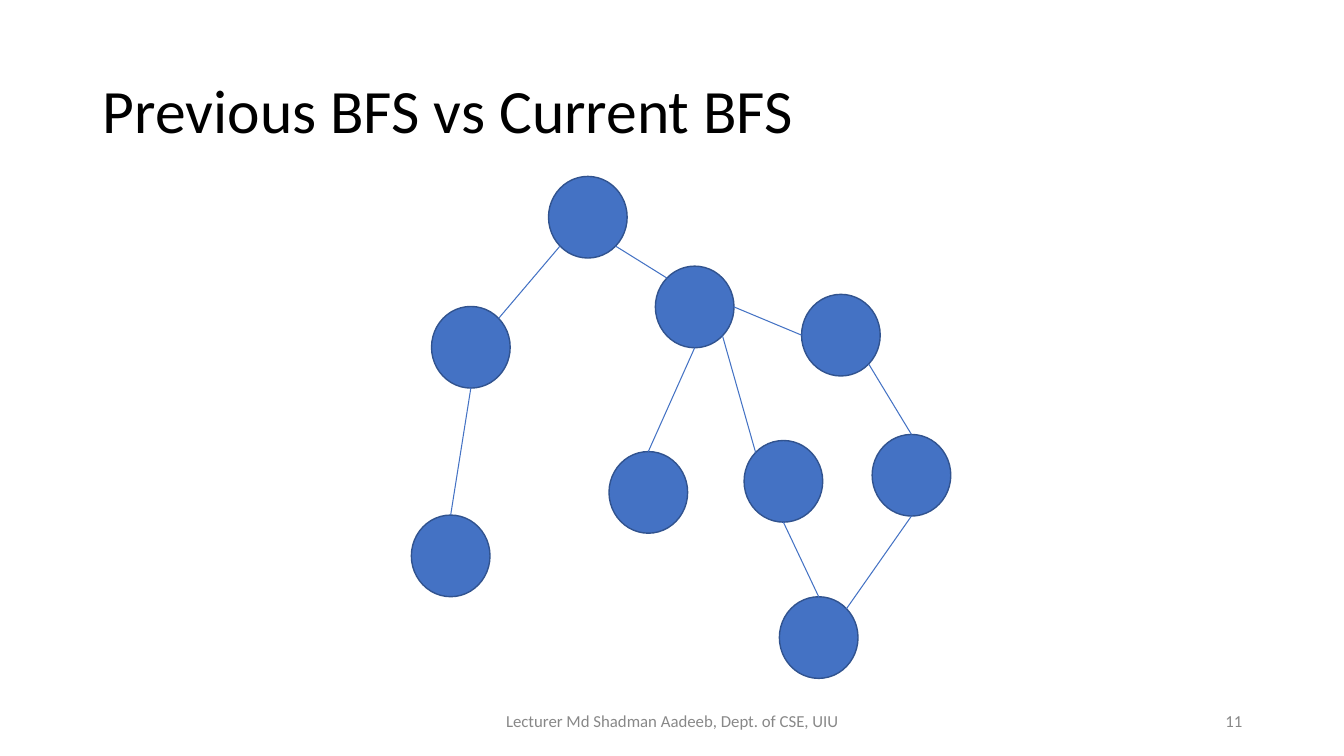
from dataclasses import dataclass
from math import cos, radians, sin

from lxml.etree import SubElement
from pptx import Presentation
from pptx.dml.color import RGBColor
from pptx.enum.shapes import MSO_CONNECTOR, MSO_SHAPE
from pptx.enum.text import MSO_ANCHOR, MSO_AUTO_SIZE, PP_ALIGN
from pptx.oxml.ns import qn
from pptx.util import Inches, Pt


@dataclass(frozen=True)
class Theme:
    font: str = "Calibri"
    title_size: float = 44
    footer_size: float = 12
    title_color: RGBColor = RGBColor(0x00, 0x00, 0x00)
    footer_color: RGBColor = RGBColor(0x88, 0x88, 0x88)
    node_fill: RGBColor = RGBColor(0x44, 0x72, 0xC4)
    node_line: RGBColor = RGBColor(0x31, 0x53, 0x8F)
    node_line_width: float = 1
    edge_width: float = 0.75


THEME = Theme()
TITLE_BOX = (0.92, 0.4, 11.5, 1.45)
GRAPH_BOX = (4.08, 1.75, 5.35, 4.98)
FOOTER_BOX = (4.42, 6.95, 8, 0.4)
NODE_WIDTH, NODE_HEIGHT = 0.78, 0.81

# Left and top of each node, relative to the graph box
NODES = {
    "root": (1.36, 0),
    "left": (0.2, 1.29),
    "left leaf": (0, 3.36),
    "middle": (2.42, 0.89),
    "middle leaf": (1.96, 2.73),
    "middle branch": (3.3, 2.62),
    "right": (3.87, 1.17),
    "right branch": (4.57, 2.56),
    "shared leaf": (3.65, 4.17),
}

# Connection sites of an ellipse run counterclockwise from the top
SITES = ("top", "top left", "left", "bottom left",
         "bottom", "bottom right", "right", "top right")

EDGES = (
    ("root", "bottom left", "left", "top right"),
    ("root", "bottom right", "middle", "top left"),
    ("left", "bottom", "left leaf", "top"),
    ("middle", "bottom", "middle leaf", "top"),
    ("middle", "bottom right", "middle branch", "top left"),
    ("middle", "right", "right", "left"),
    ("right", "bottom right", "right branch", "top"),
    ("middle branch", "bottom", "shared leaf", "top"),
    ("right branch", "bottom", "shared leaf", "top right"),
)


def place(shape, box):
    shape.left, shape.top, shape.width, shape.height = map(Inches, box)


def write_text(shape, text, size, color, alignment):
    frame = shape.text_frame
    frame.word_wrap = True
    frame.auto_size = MSO_AUTO_SIZE.NONE
    frame.vertical_anchor = MSO_ANCHOR.MIDDLE
    paragraph = frame.paragraphs[0]
    paragraph.alignment = alignment
    run = paragraph.add_run()
    run.text = text
    run.font.name = THEME.font
    run.font.size = Pt(size)
    run.font.color.rgb = color
    return paragraph


def add_title(slide, box, text):
    title = slide.shapes.title
    place(title, box)
    paragraph = write_text(title, text, THEME.title_size, THEME.title_color, PP_ALIGN.LEFT)
    paragraph.line_spacing = 0.9


def add_node(slide, left, top):
    node = slide.shapes.add_shape(
        MSO_SHAPE.OVAL, *map(Inches, (left, top, NODE_WIDTH, NODE_HEIGHT)))
    node.shadow.inherit = False
    node.fill.solid()
    node.fill.fore_color.rgb = THEME.node_fill
    node.line.color.rgb = THEME.node_line
    node.line.width = Pt(THEME.node_line_width)
    return node


def site_point(node, site):
    """Return the point of a named connection site on the node's outline."""
    angle = radians(90 + 45 * SITES.index(site))
    return (int(node.left + node.width / 2 * (1 + cos(angle))),
            int(node.top + node.height / 2 * (1 - sin(angle))))


def add_edge(slide, start, start_site, end, end_site):
    """Draw a line between two nodes and attach both of its ends."""
    edge = slide.shapes.add_connector(
        MSO_CONNECTOR.STRAIGHT, *site_point(start, start_site), *site_point(end, end_site))
    edge.line.color.rgb = THEME.node_fill
    edge.line.width = Pt(THEME.edge_width)
    element = edge._element
    SubElement(element.spPr, qn("a:effectLst"))
    links = element.find(".//" + qn("p:cNvCxnSpPr"))
    for tag, node, site in (("a:stCxn", start, start_site), ("a:endCxn", end, end_site)):
        SubElement(links, qn(tag), id=str(node.shape_id), idx=str(SITES.index(site)))


def add_graph(slide, box):
    left, top = box[:2]
    nodes = {name: add_node(slide, left + x, top + y) for name, (x, y) in NODES.items()}
    for start, start_site, end, end_site in EDGES:
        add_edge(slide, nodes[start], start_site, nodes[end], end_site)


def add_footer(slide, box, lecturer, number):
    left, top, width, height = box
    lecturer_width, number_width = 4.5, 3
    parts = (
        (left, lecturer_width, lecturer, PP_ALIGN.CENTER),
        (left + width - number_width, number_width, number, PP_ALIGN.RIGHT),
    )
    for part_left, part_width, text, alignment in parts:
        shape = slide.shapes.add_textbox(
            *map(Inches, (part_left, top, part_width, height)))
        write_text(shape, text, THEME.footer_size, THEME.footer_color, alignment)


def main():
    presentation = Presentation()
    presentation.slide_width = Inches(13.33)
    presentation.slide_height = Inches(7.5)
    title_only = presentation.slide_layouts.get_by_name("Title Only")
    slide = presentation.slides.add_slide(title_only)
    add_title(slide, TITLE_BOX, "Previous BFS vs Current BFS")
    add_graph(slide, GRAPH_BOX)
    add_footer(slide, FOOTER_BOX, "Lecturer Md Shadman Aadeeb, Dept. of CSE, UIU", "11")
    presentation.save("out.pptx")


if __name__ == "__main__":
    main()
